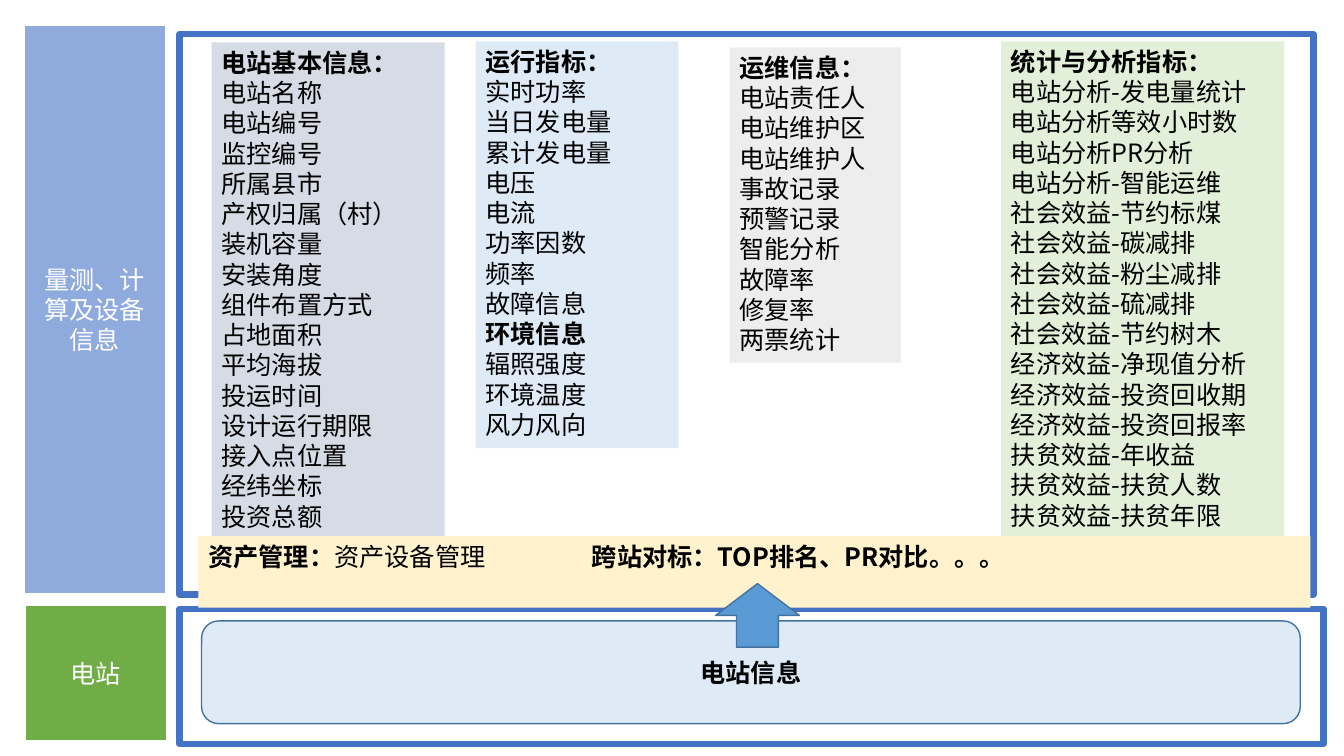
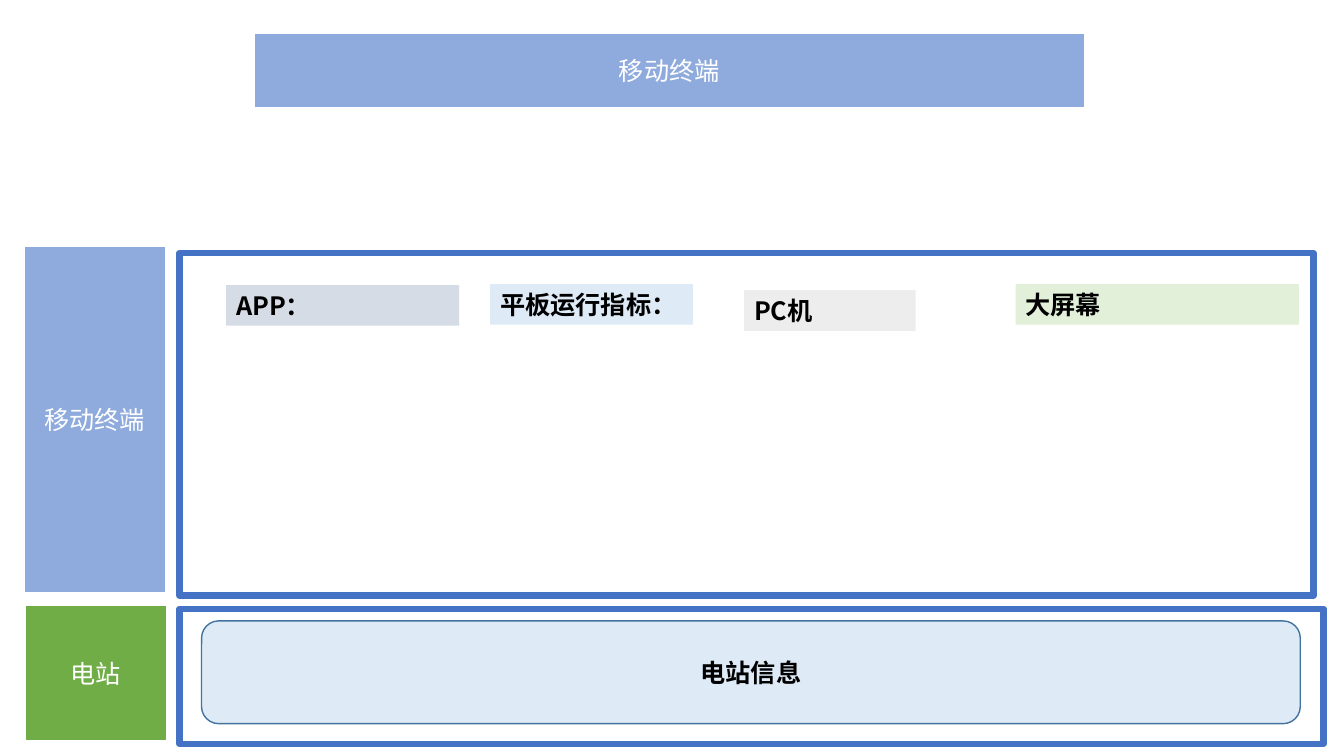
from functools import partial
from lxml import etree
from pptx import Presentation
from pptx.dml import color
from pptx.enum import shapes, text
from pptx.oxml import ns
from pptx.util import Pt

FONT = "Noto Sans CJK SC"
WHITE, BLACK = "FFFFFF", "000000"
FRAME_BLUE, LABEL_BLUE, ARROW_BLUE = "4472C4", "8FAADC", "5B9BD5"
PALE_BLUE, EDGE_BLUE, GREEN, CREAM = "DEEBF7", "43739E", "70AD47", "FFF2CC"
LINE_HEIGHT, COLUMN_PADDING = 21.8, 7.2
COLUMNS = [
    (0, 0.7, 166.4, "D6DCE5"),
    (188.6, 0, 144.8, PALE_BLUE),
    (370, 4.3, 122.4, "EDEDED"),
    (563.8, 0, 202.4, "E2F0D9"),
]
HEADINGS = {"电站基本信息：", "运行指标：", "环境信息", "运维信息：", "统计与分析指标：",
            "APP：", "平板运行指标：", "PC机", "大屏幕"}
STATION_COLUMNS = [
    ["电站基本信息：", "电站名称", "电站编号", "监控编号", "所属县市", "产权归属（村）",
     "装机容量", "安装角度", "组件布置方式", "占地面积", "平均海拔", "投运时间",
     "设计运行期限", "接入点位置", "经纬坐标", "投资总额"],
    ["运行指标：", "实时功率", "当日发电量", "累计发电量", "电压", "电流", "功率因数",
     "频率", "故障信息", "环境信息", "辐照强度", "环境温度", "风力风向"],
    ["运维信息：", "电站责任人", "电站维护区", "电站维护人", "事故记录", "预警记录",
     "智能分析", "故障率", "修复率", "两票统计"],
    ["统计与分析指标：", "电站分析-发电量统计", "电站分析等效小时数", "电站分析PR分析",
     "电站分析-智能运维", "社会效益-节约标煤", "社会效益-碳减排", "社会效益-粉尘减排",
     "社会效益-硫减排", "社会效益-节约树木", "经济效益-净现值分析", "经济效益-投资回收期",
     "经济效益-投资回报率", "扶贫效益-年收益", "扶贫效益-扶贫人数", "扶贫效益-扶贫年限"],
]
TERMINAL_COLUMNS = [["APP："], ["平板运行指标："], ["PC机"], ["大屏幕"]]


def rgb(value):
    return color.RGBColor.from_string(value)


def format_run(run, font_color=BLACK, bold=False):
    run.font.name = FONT
    run.font.size = Pt(18)
    run.font.bold = bold
    run.font.color.rgb = rgb(font_color)
    east_asian = etree.SubElement(run.font._element, ns.qn("a:ea"))
    east_asian.set("typeface", FONT)


def paint(shape, fill, line=None, width=1):
    shape.fill.solid()
    shape.fill.fore_color.rgb = rgb(fill)
    if line:
        shape.line.color.rgb = rgb(line)
        shape.line.width = Pt(width)
    else:
        shape.line.fill.background()


def center_text(shape, words, font_color, bold=False):
    frame = shape.text_frame
    frame.text = words
    frame.word_wrap = True
    frame.auto_size = text.MSO_AUTO_SIZE.NONE
    frame.vertical_anchor = text.MSO_ANCHOR.MIDDLE
    paragraph = frame.paragraphs[0]
    paragraph.alignment = text.PP_ALIGN.CENTER
    format_run(paragraph.runs[0], font_color, bold)


def add_block(slide, kind, box, fill, line, width=1):
    shape = slide.shapes.add_shape(kind, *map(Pt, box))
    shape.shadow.inherit = False
    paint(shape, fill, line, width)
    return shape


add_rectangle = partial(add_block, kind=shapes.MSO_SHAPE.RECTANGLE)


def add_panel(slide, box, fill):
    panel = slide.shapes.add_textbox(*map(Pt, box))
    paint(panel, fill)
    panel.text_frame.word_wrap = True
    return panel.text_frame


def add_label(slide, box, words, fill):
    label = add_rectangle(slide, box=box, fill=fill, line=WHITE)
    center_text(label, words, WHITE)


def add_frame(slide, box):
    add_rectangle(slide, box=box, fill=WHITE, line=FRAME_BLUE, width=4.5)


def add_columns(slide, left, top, columns):
    for (x, y, width, fill), lines in zip(COLUMNS, columns):
        height = len(lines) * LINE_HEIGHT + COLUMN_PADDING
        frame = add_panel(slide, (left + x, top + y, width, height), fill)
        frame.text = "\n".join(lines)
        for paragraph in frame.paragraphs:
            for run in paragraph.runs:
                format_run(run, bold=run.text in HEADINGS)


def add_section(slide, top, height, words, label_top, label_height):
    add_frame(slide, (128.2, top, 810, height))
    add_label(slide, (17.3, label_top, 100.8, label_height), words, LABEL_BLUE)


def add_station_row(slide, left, top):
    add_frame(slide, (left + 110.2, top + 2.1, 817.2, 96.5))
    add_label(slide, (left, top, 100.8, 96.5), "电站", GREEN)
    station = add_block(slide, shapes.MSO_SHAPE.ROUNDED_RECTANGLE,
                        (left + 126, top + 10.8, 784.8, 73.4), PALE_BLUE, EDGE_BLUE)
    center_text(station, "电站信息", BLACK, bold=True)


def add_asset_band(slide, box):
    paragraph = add_panel(slide, box, CREAM).paragraphs[0]
    tabs = etree.SubElement(paragraph._p.get_or_add_pPr(), ns.qn("a:tabLst"))
    etree.SubElement(tabs, ns.qn("a:tab"), pos=str(Pt(274)), algn="l")
    for words, bold in [("资产管理：", True), ("资产设备管理\t", False),
                        ("跨站对标：TOP排名、PR对比。。。", True)]:
        run = paragraph.add_run()
        run.text = words
        format_run(run, bold=bold)


def add_banner_title(slide, box, words):
    title = slide.shapes.title
    title.left, title.top, title.width, title.height = map(Pt, box)
    paint(title, LABEL_BLUE, WHITE)
    center_text(title, words, WHITE)


def build_station_slide(presentation):
    slide = presentation.slides.add_slide(presentation.slide_layouts[6])
    add_section(slide, 24.5, 400.3, "量测、计算及设备信息", 18, 406.1)
    add_columns(slide, 151.2, 29.5, STATION_COLUMNS)
    add_station_row(slide, 18, 432.7)
    add_asset_band(slide, (141.8, 383, 794.2, 51.1))
    add_block(slide, shapes.MSO_SHAPE.UP_ARROW, (511.2, 416.9, 59.8, 45.4),
              ARROW_BLUE, EDGE_BLUE)


def build_terminal_slide(presentation):
    slide = presentation.slides.add_slide(presentation.slide_layouts[5])
    add_banner_title(slide, (181.4, 23.8, 593.3, 53.3), "移动终端")
    add_section(slide, 180.7, 244.8, "移动终端", 175.7, 247.7)
    add_columns(slide, 161.6, 203, TERMINAL_COLUMNS)
    add_station_row(slide, 18, 432.7)


presentation = Presentation()
presentation.slide_width = Pt(960)
presentation.slide_height = Pt(540)
build_station_slide(presentation)
build_terminal_slide(presentation)
presentation.save("out.pptx")
